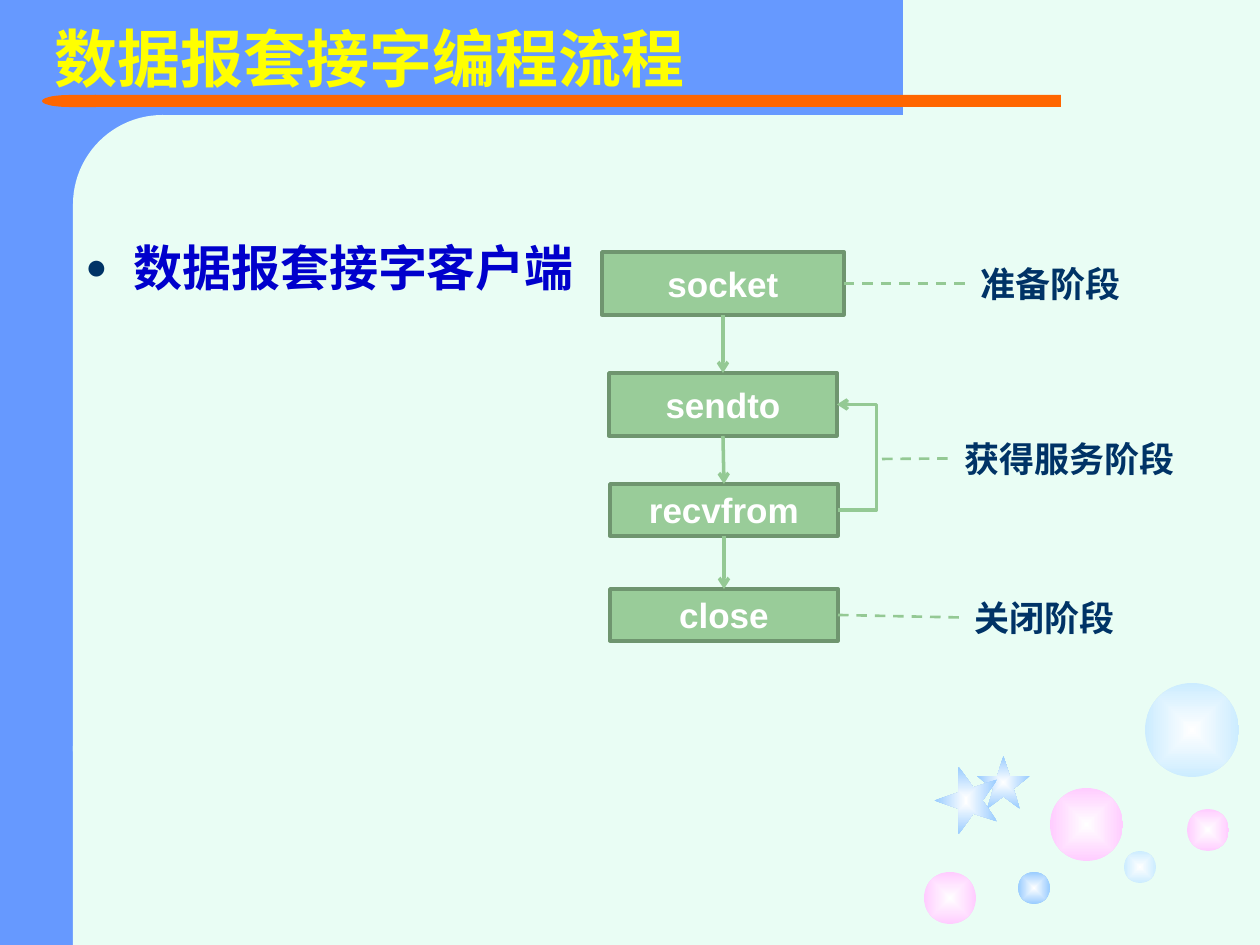
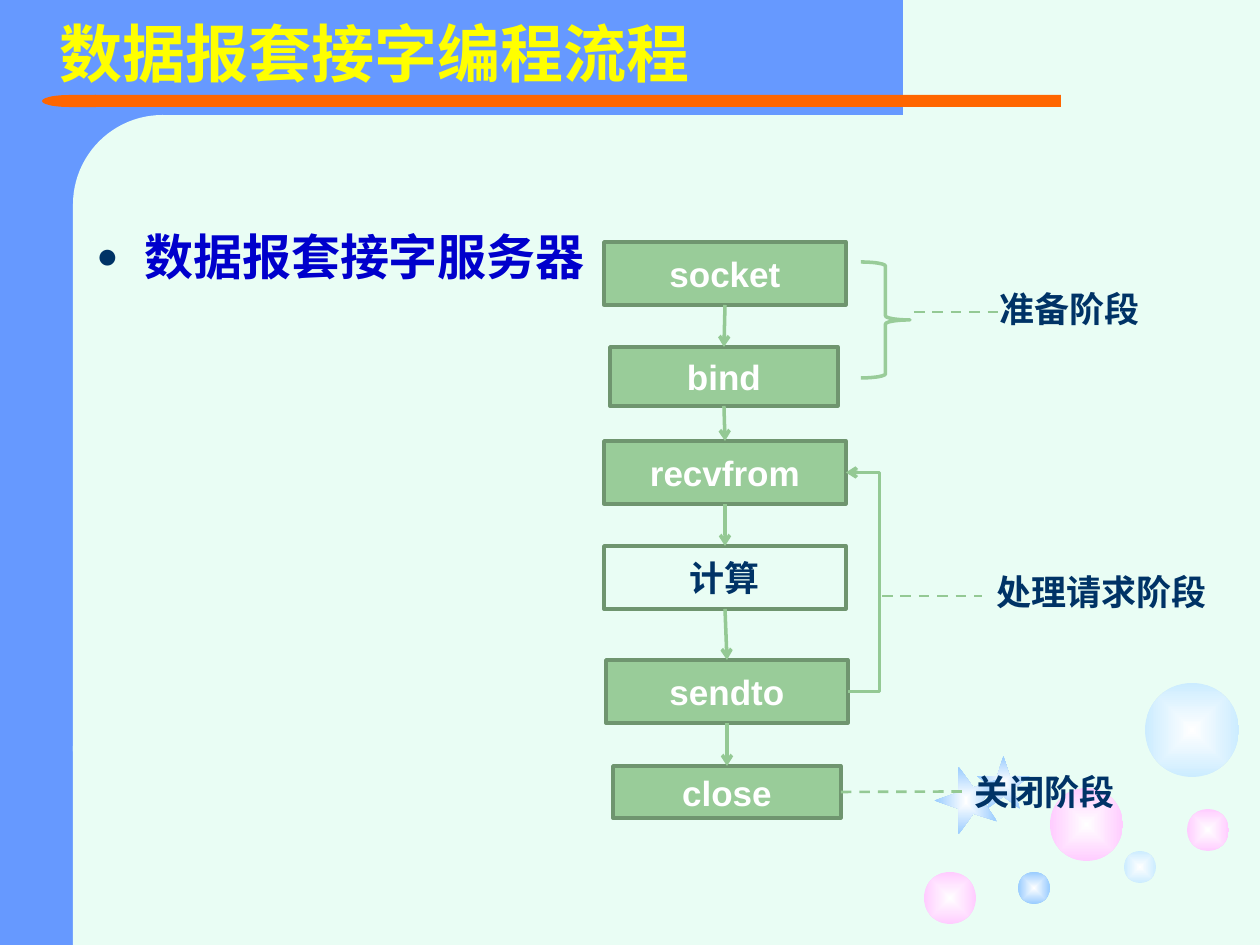
from lxml import etree
from pptx import Presentation
from pptx.dml.color import RGBColor
from pptx.enum.dml import MSO_LINE
from pptx.enum.shapes import MSO_CONNECTOR, MSO_SHAPE
from pptx.enum.text import MSO_ANCHOR, MSO_AUTO_SIZE, PP_ALIGN
from pptx.oxml import parse_xml
from pptx.oxml.ns import nsdecls, qn
from pptx.util import Emu, Pt

RECTANGLE = MSO_SHAPE.RECTANGLE
ROUNDED = MSO_SHAPE.ROUNDED_RECTANGLE
DELAY = MSO_SHAPE.FLOWCHART_DELAY
OVAL = MSO_SHAPE.OVAL
STAR = MSO_SHAPE.STAR_5_POINT
BRACE = MSO_SHAPE.RIGHT_BRACE
STRAIGHT = MSO_CONNECTOR.STRAIGHT
ELBOW = MSO_CONNECTOR.ELBOW
TOP, LEFT, BOTTOM, RIGHT = range(4)

MINT = RGBColor(0xE9, 0xFD, 0xF4)
BLUE = RGBColor(0x66, 0x99, 0xFF)
ORANGE = RGBColor(0xFF, 0x66, 0x00)
YELLOW = RGBColor(0xFF, 0xFF, 0x00)
WHITE = RGBColor(0xFF, 0xFF, 0xFF)
NAVY = RGBColor(0x00, 0x33, 0x66)
HEADING_BLUE = RGBColor(0x00, 0x00, 0xCC)
GREEN = RGBColor(0x99, 0xCC, 0x99)
GREEN_BORDER = RGBColor(0x6F, 0x95, 0x6F)
GREEN_LINE = RGBColor(0x94, 0xC9, 0x94)
PINK = RGBColor(0xFF, 0xCC, 0xFF)
PALE_BLUE = RGBColor(0xCC, 0xEC, 0xFF)
SKY = RGBColor(0x99, 0xCC, 0xFF)

LATIN_FONT = "Arial"
CHINESE_FONT = "Noto Sans CJK SC"
SLIDE_WIDTH, SLIDE_HEIGHT = 1260, 945
TITLE = "数据报套接字编程流程"


def px(value):
    return Emu(round(value * 914400 / 126))


def px_all(*values):
    return [px(value) for value in values]


# Elements

def style_text(paragraph, size, color, font_name=LATIN_FONT):
    font = paragraph.font
    font.name, font.size, font.bold = font_name, Pt(size), True
    font.color.rgb = color
    defaults = paragraph._p.pPr.find(qn("a:defRPr"))
    etree.SubElement(defaults, qn("a:ea"), typeface=CHINESE_FONT)


def add_plain_shape(slide, kind, box, fill=None, border=None):
    shape = slide.shapes.add_shape(kind, *px_all(*box))
    shape.shadow.inherit = False
    if fill is None:
        shape.fill.background()
    else:
        shape.fill.solid()
        shape.fill.fore_color.rgb = fill
    if border is None:
        shape.line.fill.background()
    else:
        shape.line.color.rgb = border
        shape.line.width = Pt(2)
    return shape


def add_glowing_shape(slide, kind, box, color):
    shape = add_plain_shape(slide, kind, box, color)
    solid = shape.element.spPr.find(qn("a:solidFill"))
    gradient = parse_xml(
        f'<a:gradFill {nsdecls("a")} rotWithShape="1"><a:gsLst>'
        f'<a:gs pos="0"><a:srgbClr val="{WHITE}"/></a:gs>'
        f'<a:gs pos="100000"><a:srgbClr val="{color}"/></a:gs></a:gsLst>'
        '<a:path path="rect"><a:fillToRect l="50000" t="50000" r="50000" b="50000"/>'
        '</a:path></a:gradFill>')
    solid.getparent().replace(solid, gradient)
    return shape


def add_step(slide, text, box, fill=GREEN, color=WHITE):
    shape = add_plain_shape(slide, RECTANGLE, box, fill, GREEN_BORDER)
    frame = shape.text_frame
    frame.vertical_anchor = MSO_ANCHOR.MIDDLE
    paragraph = frame.paragraphs[0]
    paragraph.text = text
    paragraph.alignment = PP_ALIGN.CENTER
    style_text(paragraph, 20, color)
    return shape


def add_text(slide, text, box):
    shape = slide.shapes.add_textbox(*px_all(*box))
    shape.text_frame.word_wrap = True
    paragraph = shape.text_frame.paragraphs[0]
    paragraph.text = text
    return shape, paragraph


def add_phase_label(slide, text, box):
    shape, paragraph = add_text(slide, text, box)
    style_text(paragraph, 20, NAVY)
    return shape


def add_bullet(slide, text, box):
    paragraph = add_text(slide, text, box)[1]
    properties = paragraph._p.get_or_add_pPr()
    properties.set("marL", str(px(48)))
    properties.set("indent", str(-px(48)))
    color = etree.SubElement(properties, qn("a:buClr"))
    etree.SubElement(color, qn("a:srgbClr"), val=str(NAVY))
    etree.SubElement(properties, qn("a:buSzPct"), val="75000")
    etree.SubElement(properties, qn("a:buFont"), typeface=LATIN_FONT)
    etree.SubElement(properties, qn("a:buChar"), char="●")
    style_text(paragraph, 28, HEADING_BLUE, CHINESE_FONT)


def add_line(slide, points=(0, 0, 0, 0), kind=STRAIGHT, arrow=False):
    """Solid arrow for the flow, thinner dashed line for a phase."""
    connector = slide.shapes.add_connector(kind, *px_all(*points))
    connector.line.color.rgb = GREEN_LINE
    connector.line.width = Pt(2 if arrow else 1.5)
    properties = connector.element.spPr
    if arrow:
        etree.SubElement(properties.find(qn("a:ln")), qn("a:tailEnd"), type="arrow")
    else:
        connector.line.dash_style = MSO_LINE.DASH
    etree.SubElement(properties, qn("a:effectLst"))
    return connector


def join(slide, start, start_side, end, end_side, arrow=False):
    connector = add_line(slide, arrow=arrow)
    connector.begin_connect(start, start_side)
    connector.end_connect(end, end_side)


def add_loop(slide, start, end, rail):
    """Arrow back up from start to end, along a vertical at x = rail."""
    begin_x, end_x = (step.left + step.width for step in (start, end))
    begin_y, end_y = (step.top + step.height // 2 for step in (start, end))
    connector = add_line(slide, kind=ELBOW, arrow=True)
    connector.begin_x, connector.begin_y = begin_x, begin_y
    connector.end_x, connector.end_y = end_x, end_y
    bend = round(100000 * (px(rail) - begin_x) / (end_x - begin_x))
    guides = connector.element.spPr.find(qn("a:prstGeom")).get_or_add_avLst()
    etree.SubElement(guides, qn("a:gd"), name="adj1", fmla=f"val {bend}")


def add_flow(slide, steps):
    """Boxes from top to bottom, each joined to the next by an arrow."""
    shapes = [add_step(slide, *step) for step in steps]
    for upper, lower in zip(shapes, shapes[1:]):
        join(slide, upper, BOTTOM, lower, TOP, arrow=True)
    return shapes


def set_title(slide, box):
    title = slide.shapes.title
    title.left, title.top, title.width, title.height = px_all(*box)
    frame = title.text_frame
    frame.text = TITLE
    frame.auto_size = MSO_AUTO_SIZE.NONE
    frame.vertical_anchor = MSO_ANCHOR.MIDDLE
    paragraph = frame.paragraphs[0]
    paragraph.alignment = PP_ALIGN.LEFT
    paragraph.line_spacing = 0.9
    style_text(paragraph, 36, YELLOW)


# Shared backdrop

def draw_backdrop(slide):
    add_plain_shape(slide, RECTANGLE, (0, 0, 158, SLIDE_HEIGHT), BLUE)
    add_plain_shape(slide, RECTANGLE, (63, 0, 840, 115), BLUE)
    panel = add_plain_shape(slide, ROUNDED, (73, 115, 179, 725), MINT)
    panel.adjustments[0] = 0.5
    add_plain_shape(slide, RECTANGLE, (95, 95, 966, 12), ORANGE)
    add_plain_shape(slide, DELAY, (42, 95, 54, 12), ORANGE).rotation = 180
    add_plain_shape(slide, RECTANGLE, (73, 746, 179, 199), MINT)
    for left, top, size, color in (
            (1050, 788, 73, PINK), (924, 872, 52, PINK), (1124, 851, 32, PALE_BLUE),
            (1187, 809, 42, PINK), (1145, 683, 94, PALE_BLUE), (1018, 872, 32, SKY)):
        add_glowing_shape(slide, OVAL, (left, top, size, size), color)
    add_glowing_shape(slide, STAR, (977, 756, 53, 53), SKY)
    add_glowing_shape(slide, STAR, (932, 769, 68, 63), SKY).rotation = 270


def move_backdrop_to_layout(slide, layout):
    drawn = [shape for shape in slide.shapes if not shape.is_placeholder]
    for number, shape in enumerate(drawn, start=20):
        shape.element.nvSpPr.cNvPr.set("id", str(number))
        layout.shapes.element.append(shape.element)


# Slides

def build_client(slide):
    set_title(slide, (42, 16, 1134, 93))
    add_bullet(slide, "数据报套接字客户端", (73, 231, 1134, 645))
    socket, sendto, recvfrom, close = add_flow(slide, (
        ("socket", (602, 252, 242, 63)),
        ("sendto", (609, 373, 228, 63)),
        ("recvfrom", (610, 484, 228, 52)),
        ("close", (610, 589, 228, 52))))
    add_loop(slide, recvfrom, sendto, 877)

    prepare = add_phase_label(slide, "准备阶段", (968, 256, 218, 55))
    service = add_phase_label(slide, "获得服务阶段", (952, 431, 288, 55))
    closing = add_phase_label(slide, "关闭阶段", (962, 590, 297, 55))
    join(slide, socket, RIGHT, prepare, LEFT)
    add_line(slide, (882, 459, 952, 458)).end_connect(service, LEFT)
    join(slide, close, RIGHT, closing, LEFT)


def build_server(slide):
    set_title(slide, (47, 16, 1134, 83))
    add_bullet(slide, "数据报套接字服务器", (84, 220, 1134, 646))
    recvfrom, _, sendto, close = add_flow(slide, (
        ("socket", (604, 242, 242, 63)),
        ("bind", (610, 347, 228, 59)),
        ("recvfrom", (604, 441, 242, 63)),
        ("计算", (604, 546, 242, 63), None, NAVY),
        ("sendto", (606, 660, 242, 63)),
        ("close", (613, 766, 228, 52))))[2:]
    add_loop(slide, sendto, recvfrom, 880)
    add_plain_shape(slide, BRACE, (861, 262, 49, 116), border=GREEN)

    add_phase_label(slide, "准备阶段", (987, 281, 218, 55))
    add_phase_label(slide, "处理请求阶段", (984, 564, 307, 55))
    closing = add_phase_label(slide, "关闭阶段", (962, 764, 297, 55))
    add_line(slide, (914, 312, 998, 312))
    add_line(slide, (882, 596, 982, 596))
    join(slide, close, RIGHT, closing, LEFT)


def main():
    presentation = Presentation()
    presentation.slide_width, presentation.slide_height = px_all(SLIDE_WIDTH, SLIDE_HEIGHT)
    layout = presentation.slide_layouts[5]
    layout.background.fill.solid()
    layout.background.fill.fore_color.rgb = MINT

    client = presentation.slides.add_slide(layout)
    draw_backdrop(client)
    move_backdrop_to_layout(client, layout)
    build_client(client)
    build_server(presentation.slides.add_slide(layout))
    presentation.save("out.pptx")


if __name__ == "__main__":
    main()
